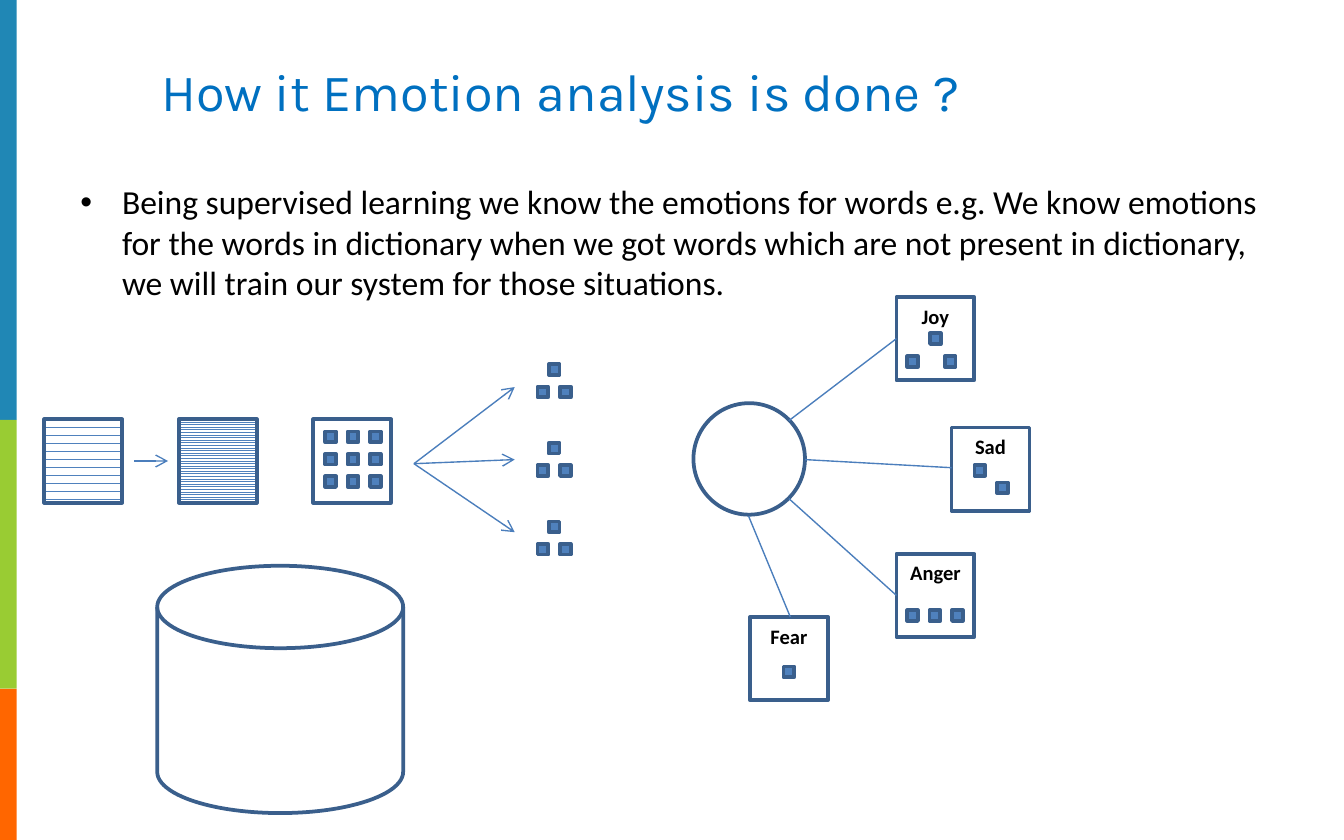
from dataclasses import dataclass

from lxml import etree
from pptx import Presentation
from pptx import util as u
from pptx.dml.color import RGBColor
from pptx.enum import dml, shapes, text
from pptx.oxml.ns import qn


@dataclass(frozen=True)
class Theme:
    bars: tuple = ("2087B5", "99CC33", "FF6600")
    title: str = "0070C0"
    ink: str = "000000"
    paper: str = "FFFFFF"
    block: str = "4F81BD"
    outline: str = "3A5F8C"
    link: str = "4B7EBC"
    title_font: str = "Karla"
    body_font: str = "Calibri"
    title_size: int = 28
    body_size: int = 18
    label_size: int = 11


BOX_W, BOX_H, TOKEN = 0.58, 0.62, 0.08


def color(value):
    return RGBColor.from_string(value)


def write(tf, words, *, font, size, ink, bold=False, align=text.PP_ALIGN.LEFT,
          anchor=text.MSO_ANCHOR.TOP, inset=0.1, bullet=None, indent=0):
    """Fill a text frame with one formatted paragraph."""
    tf.word_wrap = True
    tf.vertical_anchor = anchor
    tf.margin_left = tf.margin_right = u.Inches(inset)
    p = tf.paragraphs[0]
    p.alignment = align
    if bullet:
        ppr = p._p.get_or_add_pPr()
        ppr.set("marL", str(u.Inches(indent)))
        ppr.set("indent", str(-u.Inches(indent)))
        etree.SubElement(ppr, qn("a:buFont")).set("typeface", "Arial")
        etree.SubElement(ppr, qn("a:buChar")).set("char", bullet)
    r = p.add_run()
    r.text = words
    r.font.name, r.font.size, r.font.bold = font, u.Pt(size), bold
    r.font.color.rgb = color(ink)


class Deck:
    def __init__(self, theme):
        self.theme = theme
        self.prs = Presentation()
        self.prs.slide_width, self.prs.slide_height = u.Inches(10), u.Inches(6.25)
        self.s = self.prs.slides.add_slide(self.prs.slide_layouts[6])

    def shape(self, kind, x, y, w, h, fill=None, outlined=True, pattern=None):
        sp = self.s.shapes.add_shape(kind, *map(u.Inches, (x, y, w, h)))
        sp.shadow.inherit = False
        if pattern is not None:
            sp.fill.patterned()
            sp.fill.pattern = pattern
            sp.fill.fore_color.rgb = color(self.theme.block)
            sp.fill.back_color.rgb = color(self.theme.paper)
        elif fill:
            sp.fill.solid()
            sp.fill.fore_color.rgb = color(fill)
        else:
            sp.fill.background()
        if outlined:
            sp.line.color.rgb = color(self.theme.outline)
            sp.line.width = u.Pt(2)
        else:
            sp.line.fill.background()

    def box(self, x, y, pattern=None):
        self.shape(shapes.MSO_SHAPE.RECTANGLE, x, y, BOX_W, BOX_H, pattern=pattern)

    def tokens(self, x, y, offsets):
        for dx, dy in offsets:
            self.shape(shapes.MSO_SHAPE.RECTANGLE, x + dx, y + dy, TOKEN, TOKEN,
                       fill=self.theme.block)

    def line(self, start, end, arrow=False):
        c = self.s.shapes.add_connector(shapes.MSO_CONNECTOR.STRAIGHT,
                                        *map(u.Inches, (*start, *end)))
        c.line.color.rgb = color(self.theme.link)
        c.line.width = u.Pt(0.75)
        if arrow:
            etree.SubElement(c.line._get_or_add_ln(), qn("a:tailEnd")).set("type", "arrow")
        etree.SubElement(c._element.spPr, qn("a:effectLst"))

    def text(self, words, x, y, w, h, **style):
        sp = self.s.shapes.add_textbox(*map(u.Inches, (x, y, w, h)))
        write(sp.text_frame, words, **style)


def main():
    theme = Theme()
    deck = Deck(theme)

    # Colour bars down the left edge
    top = 0
    for fill, height in zip(theme.bars, (3.125, 2, 1.125)):
        deck.shape(shapes.MSO_SHAPE.RECTANGLE, 0, top, 0.125, height,
                   fill=fill, outlined=False)
        top += height

    # Title and explanation
    deck.text("How it Emotion analysis is done ?", 1, 0.04, 8, 0.92,
              font=theme.title_font, size=theme.title_size, ink=theme.title,
              anchor=text.MSO_ANCHOR.BOTTOM, inset=0.2)
    deck.text("Being supervised learning we know the emotions for words e.g. "
              "We know emotions for the words in dictionary when we got words "
              "which are not present in dictionary, we will train our system "
              "for those situations.", 0.5, 1.3, 9.17, 1.19,
              font=theme.body_font, size=theme.body_size, ink=theme.ink,
              bullet="•", indent=0.31)

    # Documents, split into lines and then into words
    row_y = 3.12
    patterns = (dml.MSO_PATTERN.DASHED_HORIZONTAL, dml.MSO_PATTERN.LIGHT_HORIZONTAL, None)
    for i, pattern in enumerate(patterns):
        deck.box(0.33 + i, row_y, pattern)
    deck.line((1, 3.43), (1.25, 3.43), arrow=True)
    pitch = 1 / 6
    deck.tokens(2.42, 3.21, [(c * pitch, r * pitch) for r in range(3) for c in range(3)])

    # Dictionary store
    deck.shape(shapes.MSO_SHAPE.FLOWCHART_MAGNETIC_DISK, 1.17, 4.21, 1.83, 1.84)

    # Word clusters and the arrows to them
    triangle = [(pitch / 2, 0), (0, pitch), (pitch, pitch)]
    for i, tip_y in enumerate((2.88, 3.42, 3.96)):
        deck.tokens(4, 2.71 + i * 0.585, triangle)
        deck.line((3.08, 3.45), (3.83, tip_y), arrow=True)

    # Classifier and emotion boxes: name, box corner, token offsets, link ends
    deck.shape(shapes.MSO_SHAPE.OVAL, 5.16, 3, 0.83, 0.83)
    emotions = [
        ("Joy", 6.67, 2.21, [(0.25, 0.27), (0.08, 0.44), (0.36, 0.44)],
         (5.87, 3.13), (6.67, 2.52)),
        ("Sad", 7.08, 3.18, [(0.17, 0.28), (0.34, 0.41)],
         (5.99, 3.42), (7.08, 3.48)),
        ("Anger", 6.67, 4.12, [(0.08 + i * pitch, 0.42) for i in range(3)],
         (5.87, 3.71), (6.67, 4.43)),
        ("Fear", 5.58, 4.59, [(0.25, 0.37)],
         (5.57, 3.84), (5.88, 4.59)),
    ]
    for name, x, y, offsets, start, end in emotions:
        deck.box(x, y)
        deck.tokens(x, y, offsets)
        deck.line(start, end)
        deck.text(name, x, y, BOX_W, 0.35, font=theme.body_font,
                  size=theme.label_size, ink=theme.ink, bold=True,
                  align=text.PP_ALIGN.CENTER, inset=0)

    deck.prs.save("out.pptx")


if __name__ == "__main__":
    main()
